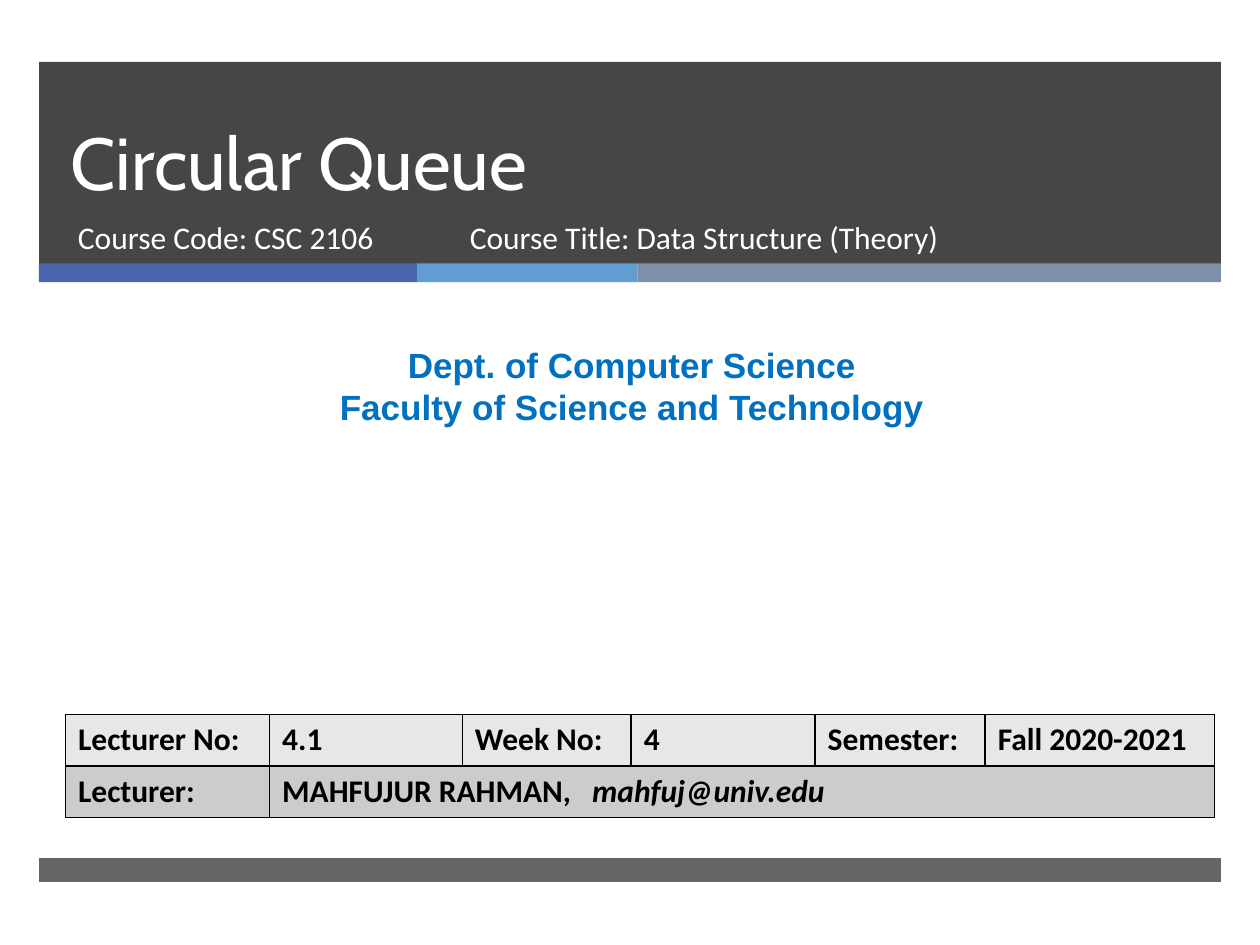
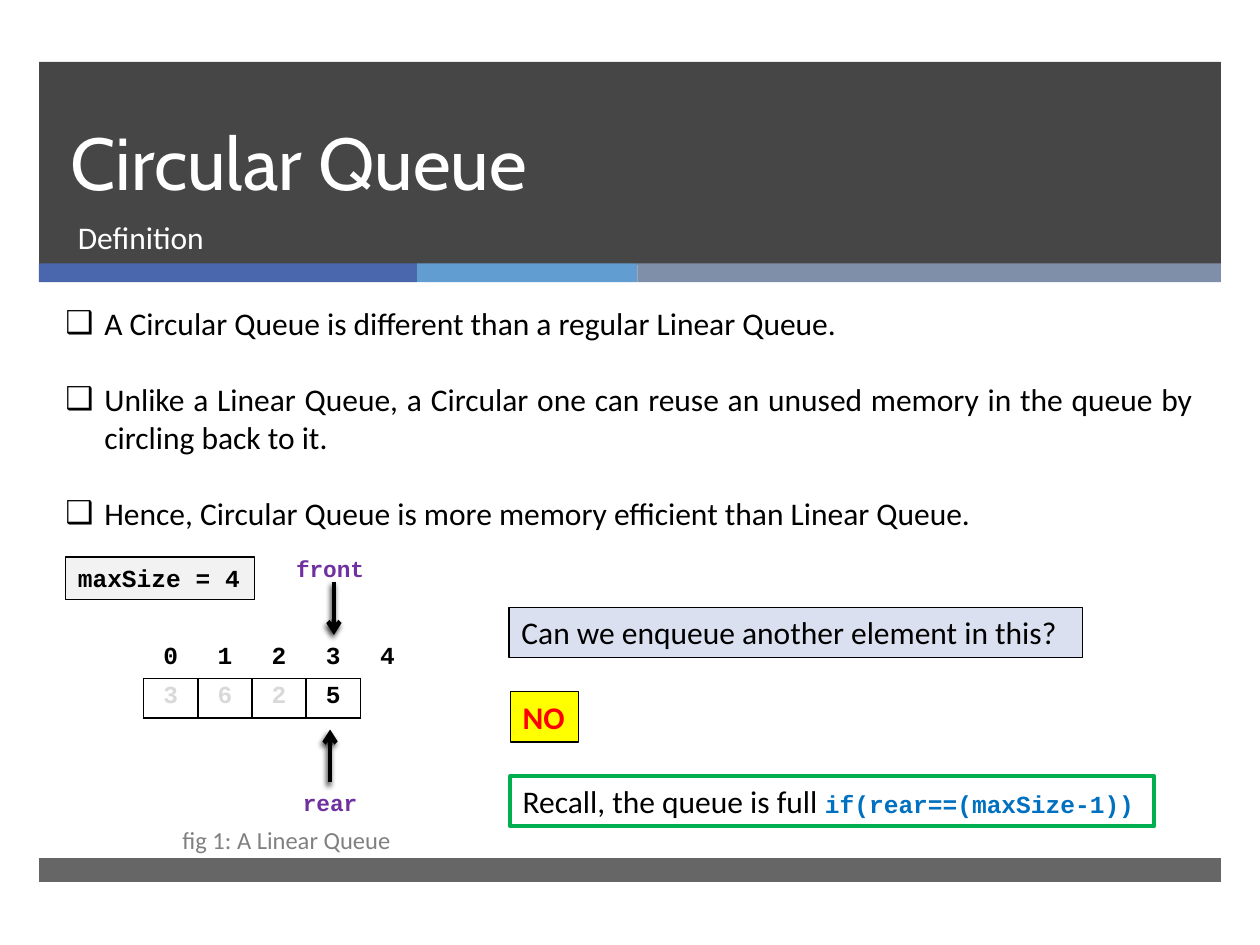
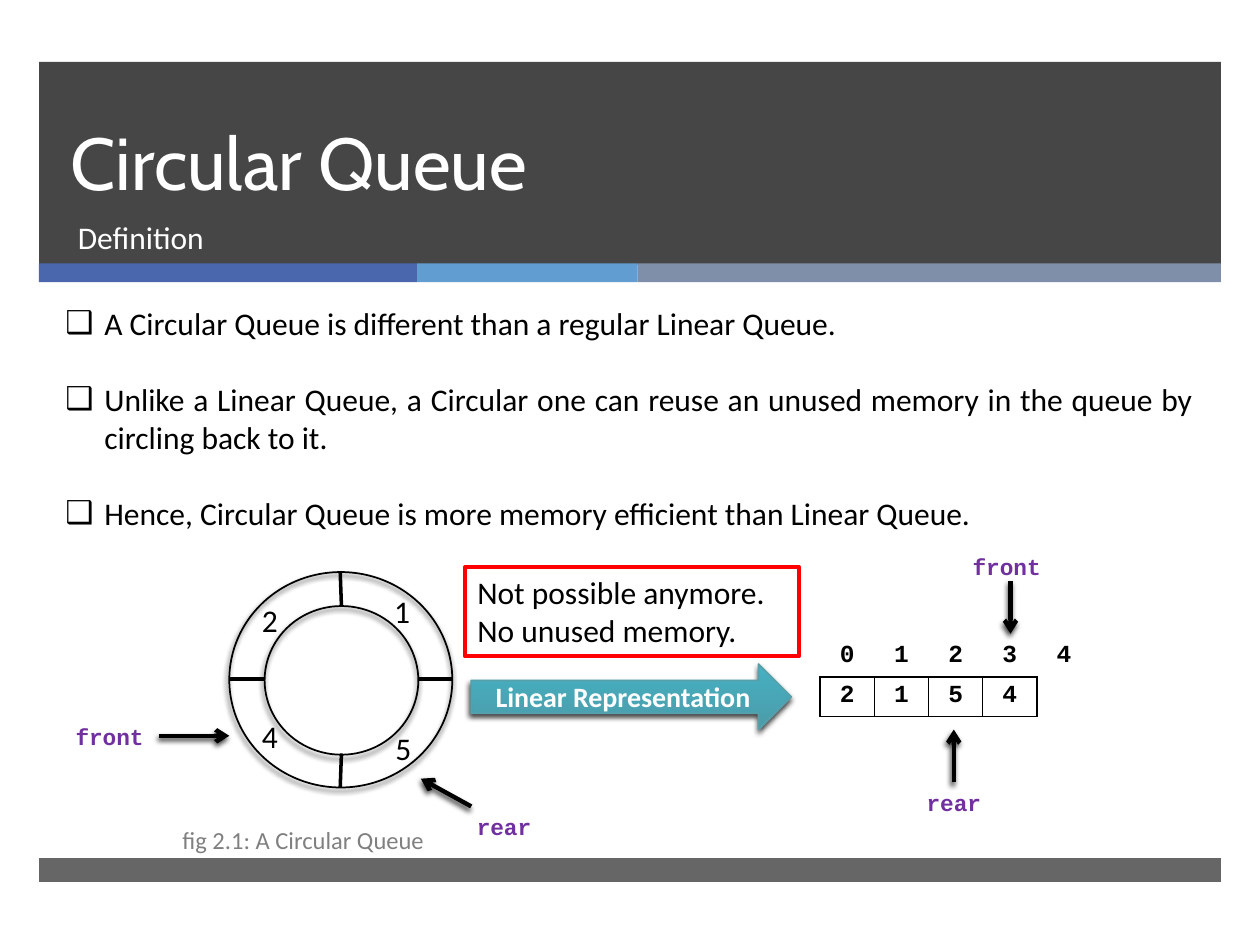
from collections import namedtuple
from dataclasses import dataclass

from pptx import Presentation
from pptx.dml.color import RGBColor
from pptx.enum.shapes import MSO_CONNECTOR, MSO_SHAPE
from pptx.enum.text import MSO_ANCHOR, PP_ALIGN
from pptx.oxml import parse_xml
from pptx.oxml.ns import nsdecls, qn
from pptx.util import Inches, Pt

Style = namedtuple("Style", "font size color bold italic", defaults=(False, False))


@dataclass(frozen=True)
class Theme:
    # Colours
    black: str = "000000"
    band: str = "262626"
    stripes: tuple = ("4A66AC", "629DD1", "7F8FA9")
    info_rows: tuple = ("E7E7E7", "CCCCCC")
    question: str = "DAE0EF"
    size_box: str = "F2F2F2"
    yellow: str = "FFFF00"
    green: str = "00B050"
    red: str = "FF0000"
    arrow_line: str = "56A0AC"
    arrow_fill: tuple = ("4C9BA9", "45B1C3")
    # Type
    title: Style = Style("Cabin", 42, "FFFFFF")
    subtitle: Style = Style("Calibri", 18, "FFFFFF")
    department: Style = Style("Arial", 20, "0070C0", True)
    body: Style = Style("Calibri", 18, "000000")
    strong: Style = Style("Calibri", 18, "000000", True)
    email: Style = Style("Calibri", 18, "000000", True, True)
    answer: Style = Style("Calibri", 18, "FF0000", True)
    caption: Style = Style("Calibri", 14, "808080")
    arrow: Style = Style("Calibri", 16, "FFFFFF", True)
    code: Style = Style("Courier New", 14, "000000", True)
    used: Style = Style("Courier New", 14, "D9D9D9", True)
    condition: Style = Style("Courier New", 14, "0070C0", True)
    pointer: Style = Style("Courier New", 13, "7030A0", True)


theme = Theme()
SHADOW = (f'<a:effectLst {nsdecls("a")}><a:outerShdw blurRad="38100" dist="25400" '
          'dir="6600000" rotWithShape="0"><a:srgbClr val="000000">'
          '<a:alpha val="75000"/></a:srgbClr></a:outerShdw></a:effectLst>')
NO_EFFECT = f'<a:effectLst {nsdecls("a")}/>'
ARROWHEAD = f'<a:tailEnd {nsdecls("a")} type="arrow"/>'


def write(frame, paragraphs, align=PP_ALIGN.LEFT):
    """Fill a text frame with paragraphs, each a list of (text, style) runs."""
    frame.word_wrap = True
    for number, spans in enumerate(paragraphs):
        para = frame.add_paragraph() if number else frame.paragraphs[0]
        para.alignment = align
        for text, style in spans:
            span = para.add_run()
            span.text = text
            span.font.name = style.font
            span.font.size = Pt(style.size)
            span.font.color.rgb = RGBColor.from_string(style.color)
            span.font.bold = style.bold
            span.font.italic = style.italic


def draw_borders(cell, sides):
    """Put thin black lines on the given sides (a string from L, R, T, B)."""
    properties = cell._tc.get_or_add_tcPr()
    for place, side in enumerate("LRTB"):
        paint = (f'<a:solidFill><a:srgbClr val="{theme.black}"/></a:solidFill>'
                 if side in sides else "<a:noFill/>")
        properties.insert(place, parse_xml(
            f'<a:ln{side} {nsdecls("a")} w="12700">{paint}</a:ln{side}>'))


deck = Presentation()
deck.slide_width, deck.slide_height = Inches(10), Inches(7.5)
layout = deck.slide_layouts[5]
cover, linear, circular = pages = [deck.slides.add_slide(layout) for _ in range(3)]

# Bands, kept on the layout behind everything else
for holder in list(layout.placeholders)[1:]:
    holder.element.getparent().remove(holder.element)
bands = [(0.31, 0.49, 9.38, 1.61, theme.band, 85),
         (0.31, 2.09, 3, 0.15, theme.stripes[0], 100),
         (3.31, 2.09, 1.75, 0.15, theme.stripes[1], 100),
         (5.06, 2.09, 4.63, 0.15, theme.stripes[2], 100),
         (0.31, 6.81, 9.38, 0.19, theme.band, 70)]
band_shapes = []
for *at, color, opacity in bands:
    band = cover.shapes.add_shape(MSO_SHAPE.RECTANGLE, *map(Inches, at))
    band.shadow.inherit = False
    band.fill.solid()
    band.fill.fore_color.rgb = RGBColor.from_string(color)
    band.line.fill.background()
    if opacity < 100:
        paint = next(band.element.spPr.iter(qn("a:srgbClr")))
        paint.append(parse_xml(f'<a:alpha {nsdecls("a")} val="{opacity * 1000}"/>'))
    band_shapes.append(band)
for place, band in enumerate(band_shapes, start=2):
    layout.shapes.element.insert(place, band.element)

# Titles
for page in pages:
    title = page.shapes.title
    title.left, title.top, title.width, title.height = map(Inches, (0.46, 0.49, 8.54, 1.19))
    title.text_frame.vertical_anchor = MSO_ANCHOR.BOTTOM
    write(title.text_frame, [[("Circular Queue", theme.title)]])
    title.text_frame.paragraphs[0].line_spacing = Pt(46)

# Bullets
points = ["A Circular Queue is different than a regular Linear Queue.",
          "Unlike a Linear Queue, a Circular one can reuse an unused memory in the queue "
          "by circling back to it.",
          "Hence, Circular Queue is more memory efficient than Linear Queue."]
for page in (linear, circular):
    box = page.shapes.add_textbox(*map(Inches, (0.42, 2.36, 9.15, 1.92)))
    write(box.text_frame, [[(point, theme.body)] for point in points], PP_ALIGN.JUSTIFY)
    for para in box.text_frame.paragraphs[:-1]:
        para.space_after = Pt(22)
    for properties in box.element.iter(qn("a:pPr")):
        properties.set("marL", str(Inches(0.31)))
        properties.set("indent", str(-Inches(0.31)))
        properties.append(parse_xml(f'<a:buFont {nsdecls("a")} typeface="Arial"/>'))
        properties.append(parse_xml(f'<a:buChar {nsdecls("a")} char="❑"/>'))

# Plain texts: subtitles, department, captions, ring values
texts = [
    (cover, (0.52, 1.68, 3.05, 0.53), ["Course Code: CSC 2106"], theme.subtitle),
    (cover, (3.63, 1.68, 4.55, 0.53), ["Course Title: Data Structure (Theory)"], theme.subtitle),
    (cover, (0.08, 2.68, 9.87, 0.77),
     ["Dept. of Computer Science", "Faculty of Science and Technology"], theme.department),
    (linear, (0.52, 1.68, 5.66, 0.53), ["Definition"], theme.subtitle),
    (circular, (0.52, 1.68, 5.66, 0.53), ["Definition"], theme.subtitle),
    (linear, (1.35, 6.5, 2.7, 0.34), ["fig 1: A Linear Queue"], theme.caption),
    (circular, (1.35, 6.5, 2.7, 0.34), ["fig 2.1: A Circular Queue"], theme.caption),
    (circular, (3.04, 5.74, 0.3, 0.4), ["5"], theme.body),
    (circular, (3.03, 4.65, 0.3, 0.4), ["1"], theme.body),
    (circular, (1.98, 4.72, 0.3, 0.4), ["2"], theme.body),
    (circular, (1.98, 5.64, 0.3, 0.4), ["4"], theme.body),
]
# Pointer labels: page, centre, top, name
label_width = 0.76
labels = [(linear, 2.62, 6.21, "rear"), (linear, 2.62, 4.35, "front"),
          (circular, 0.87, 5.69, "front"), (circular, 7.57, 6.21, "rear"),
          (circular, 7.99, 4.34, "front"), (circular, 4, 6.4, "rear")]
texts += [(page, (center - label_width / 2, top, label_width, 0.32), [name], theme.pointer)
          for page, center, top, name in labels]
for page, at, lines, style in texts:
    box = page.shapes.add_textbox(*map(Inches, at))
    centered = style in (theme.department, theme.pointer)
    write(box.text_frame, [[(line, style)] for line in lines],
          PP_ALIGN.CENTER if centered else PP_ALIGN.LEFT)

# Framed boxes
frames = [
    (linear, (4.04, 4.82, 4.55, 0.4), theme.question, theme.black, 0.75,
     [("Can we enqueue another element in this?", theme.body)]),
    (linear, (0.52, 4.42, 1.5, 0.34), theme.size_box, theme.black, 0.75,
     [("maxSize = 4", theme.code)]),
    (linear, (4.05, 5.49, 0.54, 0.4), theme.yellow, theme.black, 0.75,
     [("NO", theme.answer)]),
    (linear, (4.05, 6.16, 5.11, 0.4), None, theme.green, 2.25,
     [("Recall, the queue is full ", theme.body), ("if(rear==(maxSize-1))", theme.condition)]),
    (circular, (3.69, 4.5, 2.65, 0.71), None, theme.red, 2.25,
     [("Not possible anymore. No unused memory.", theme.body)]),
]
for page, at, fill, line, width, spans in frames:
    box = page.shapes.add_textbox(*map(Inches, at))
    if fill:
        box.fill.solid()
        box.fill.fore_color.rgb = RGBColor.from_string(fill)
    box.line.color.rgb = RGBColor.from_string(line)
    box.line.width = Pt(width)
    write(box.text_frame, [spans])

# Lecture table
info = cover.shapes.add_table(2, 6, *map(Inches, (0.52, 5.67, 9.12, 0.82))).table
info.first_row = info.horz_banding = False
for column, width in zip(info.columns, (1.62, 1.53, 1.34, 1.46, 1.35, 1.82)):
    column.width = Inches(width)
info.cell(1, 1).merge(info.cell(1, 5))
info_texts = [["Lecturer No:", "4.1", "Week No:", "4", "Semester:", "Fall 2020-2021"],
              ["Lecturer:", "MAHFUJUR RAHMAN,\t"]]
for row, color in enumerate(theme.info_rows):
    for column in range(6):
        cell = info.cell(row, column)
        cell.fill.solid()
        cell.fill.fore_color.rgb = RGBColor.from_string(color)
        draw_borders(cell, "LRTB")
    for column, text in enumerate(info_texts[row]):
        spans = [(text, theme.strong)]
        if text.endswith("\t"):
            spans.append(("mahfuj@univ.edu", theme.email))
        write(info.cell(row, column).text_frame, [spans])
# Tab stop that sets the address apart from the name
lecturer_properties = next(info.cell(1, 1)._tc.iter(qn("a:pPr")))
lecturer_properties.append(parse_xml(
    f'<a:tabLst {nsdecls("a")}><a:tab pos="{Inches(2.46)}" algn="l"/></a:tabLst>'))

# Queue tables: indexes above, values below
queues = [(linear, 1.14, 5.07, "3625", "362"), (circular, 6.51, 5.06, "2154", "")]
for page, left, top, values, used in queues:
    queue = page.shapes.add_table(2, 5, *map(Inches, (left, top, 2.14, 0.62))).table
    queue.first_row = queue.horz_banding = False
    for column in range(5):
        queue.columns[column].width = Inches(0.43)
        for row, digits in enumerate(("01234", values)):
            cell = queue.cell(row, column)
            cell.fill.background()
            cell.margin_left = cell.margin_right = Inches(0.07)
            if column < len(digits):
                cell.margin_top = cell.margin_bottom = Inches(0.04)
                style = theme.used if row and digits[column] in used else theme.code
                write(cell.text_frame, [[(digits[column], style)]], PP_ALIGN.CENTER)
            else:
                cell.margin_top = cell.margin_bottom = 0
            if column < 4:
                draw_borders(cell, "LRTB" if row else "B")
            else:
                draw_borders(cell, "L" if row else "")

# Ring
for at in ((2.1, 4.81, 1.22, 1.18), (1.82, 4.54, 1.77, 1.71)):
    circle = circular.shapes.add_shape(MSO_SHAPE.OVAL, *map(Inches, at))
    circle.fill.background()
    circle.line.color.rgb = RGBColor.from_string(theme.black)
    circle.line.width = Pt(1)
    circle.element.spPr.append(parse_xml(SHADOW))

# Ring dividers and pointer arrows
dividers = [(1.82, 5.39, 2.1, 5.39), (2.71, 4.81, 2.7, 4.54),
            (3.32, 5.39, 3.59, 5.39), (2.71, 5.98, 2.7, 6.25)]
arrows = [(linear, (2.62, 6.21, 2.62, 5.79)), (linear, (2.65, 4.62, 2.65, 5.04)),
          (circular, (1.26, 5.84, 1.82, 5.84)), (circular, (7.57, 6.21, 7.57, 5.79)),
          (circular, (8.02, 4.61, 8.02, 5.03)), (circular, (3.74, 6.4, 3.34, 6.18))]
strokes = [(circular, ends, False) for ends in dividers]
strokes += [(page, ends, True) for page, ends in arrows]
for page, ends, pointed in strokes:
    stroke = page.shapes.add_connector(MSO_CONNECTOR.STRAIGHT, *map(Inches, ends))
    stroke.line.color.rgb = RGBColor.from_string(theme.black)
    stroke.line.width = Pt(2.5 if pointed else 2)
    properties = stroke.element.spPr
    if pointed:
        properties.find(qn("a:ln")).append(parse_xml(ARROWHEAD))
    properties.append(parse_xml(SHADOW if pointed else NO_EFFECT))

# Block arrow from the ring to its table
block = circular.shapes.add_shape(MSO_SHAPE.RIGHT_ARROW, *map(Inches, (3.74, 5.27, 2.54, 0.52)))
block.fill.gradient()
block.fill.gradient_angle = 90
for stop, color in zip(block.fill.gradient_stops, theme.arrow_fill):
    stop.color.rgb = RGBColor.from_string(color)
block.line.color.rgb = RGBColor.from_string(theme.arrow_line)
block.line.width = Pt(1)
block.element.spPr.append(parse_xml(SHADOW))
block.text_frame.vertical_anchor = MSO_ANCHOR.MIDDLE
write(block.text_frame, [[("Linear Representation", theme.arrow)]], PP_ALIGN.CENTER)

deck.save("out.pptx")
